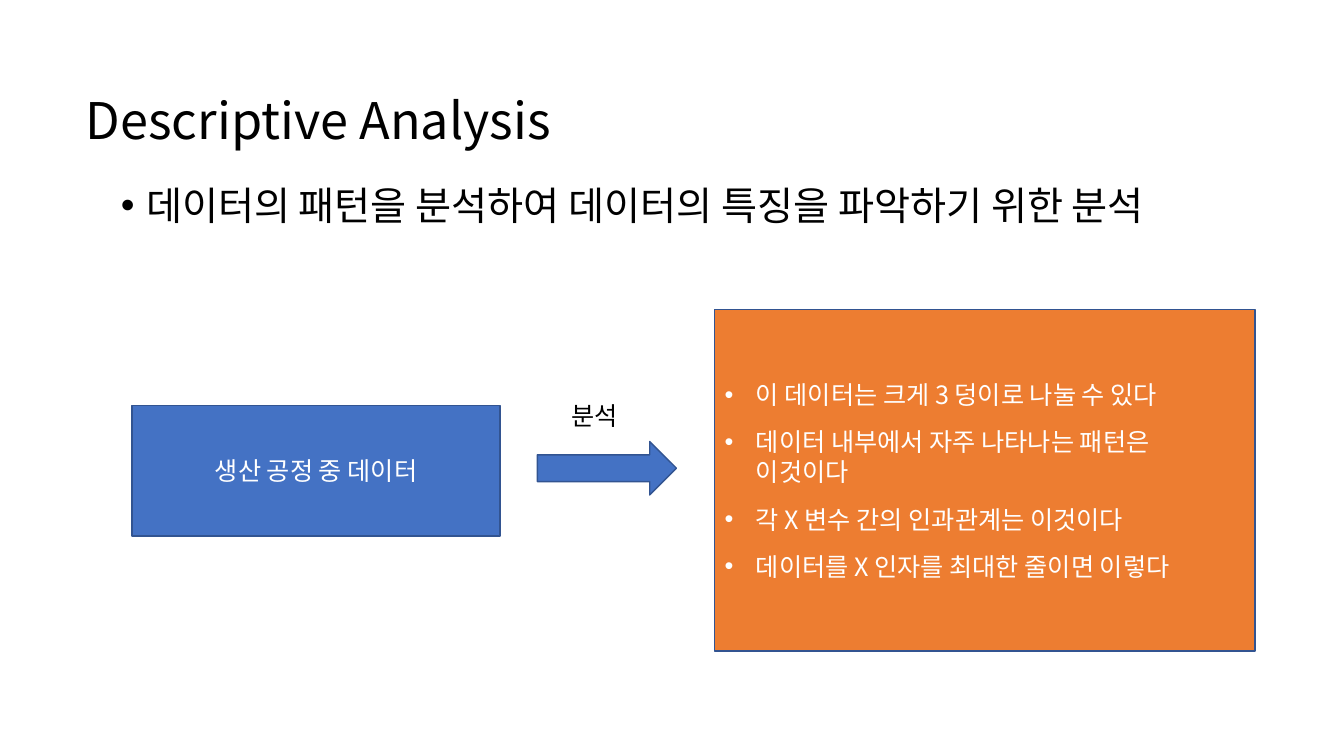
"""Build the Descriptive Analysis slide: a data box, an analysis arrow and the findings."""
from dataclasses import dataclass
from typing import Optional

from lxml.etree import SubElement
from pptx import Presentation
from pptx.dml.color import RGBColor
from pptx.enum.shapes import MSO_SHAPE as Shape
from pptx.enum.text import MSO_ANCHOR as Anchor, MSO_AUTO_SIZE as AutoSize, PP_ALIGN as Align
from pptx.oxml.ns import qn
from pptx.util import Inches, Pt

FONT = "Noto Sans CJK KR"
BLACK, WHITE, BLUE, ORANGE, OUTLINE = "000000", "FFFFFF", "4472C4", "ED7D31", "325491"
SLIDE_WIDTH, SLIDE_HEIGHT = Inches(13.333), Inches(7.5)


@dataclass(frozen=True)
class Area:
    """Position and size in percent of the slide."""
    left: float
    top: float
    width: float
    height: float

    def emu(self) -> tuple[int, int, int, int]:
        """Return left, top, width and height in EMU."""
        return (int(SLIDE_WIDTH * self.left / 100), int(SLIDE_HEIGHT * self.top / 100),
                int(SLIDE_WIDTH * self.width / 100), int(SLIDE_HEIGHT * self.height / 100))


@dataclass(frozen=True)
class Copy:
    """Paragraphs and the way they are set."""
    paragraphs: tuple[str, ...]
    size: int = 18
    color: str = BLACK
    align: Align = Align.LEFT
    anchor: Anchor = Anchor.TOP
    indent: float = 0
    gap: int = 0
    line_spacing: float = 1.0
    auto_size: AutoSize = AutoSize.NONE


@dataclass(frozen=True)
class Block:
    """A filled shape with optional text."""
    preset: Shape
    area: Area
    fill: str
    copy: Optional[Copy] = None


TITLE_AREA = Area(5.63, 11.07, 55.73, 9.47)
TITLE = Copy(("Descriptive Analysis",), size=36, auto_size=AutoSize.SHAPE_TO_FIT_TEXT)
PURPOSE_AREA = Area(8.25, 24, 86.93, 72)
PURPOSE = Copy(("데이터의 패턴을 분석하여 데이터의 특징을 파악하기 위한 분석",),
               size=28, indent=0.25, line_spacing=0.9)
STEP_AREA = Area(41.78, 52.27, 6.83, 5.33)
STEP = Copy(("분석",), auto_size=AutoSize.SHAPE_TO_FIT_TEXT)
FINDINGS = (
    "이 데이터는 크게 3 덩이로 나눌 수 있다",
    "데이터 내부에서 자주 나타나는 패턴은 \v이것이다",
    "각 X 변수 간의 인과관계는 이것이다",
    "데이터를 X 인자를 최대한 줄이면 이렇다",
)
BLOCKS = (
    Block(Shape.RECTANGLE, Area(9.83, 53.6, 27.38, 17.33), BLUE,
          Copy(("생산 공정 중 데이터",), color=WHITE, align=Align.CENTER, anchor=Anchor.MIDDLE)),
    Block(Shape.RECTANGLE, Area(53.18, 40.93, 40.2, 45.2), ORANGE,
          Copy(FINDINGS, color=WHITE, anchor=Anchor.MIDDLE, indent=0.31, gap=12)),
    Block(Shape.RIGHT_ARROW, Area(39.98, 58.4, 10.35, 7.07), BLUE),
)


def rgb(color: str) -> RGBColor:
    """Turn a hex string into a colour."""
    return RGBColor.from_string(color)


def add_bullet(paragraph, indent: float) -> None:
    """Give a paragraph a round bullet with a hanging indent in inches."""
    properties = paragraph._p.get_or_add_pPr()
    properties.set("marL", str(Inches(indent)))
    properties.set("indent", str(-Inches(indent)))
    SubElement(properties, qn("a:buFont"), typeface="Arial")
    SubElement(properties, qn("a:buChar"), char="•")


def write(frame, copy: Copy) -> None:
    """Fill a text frame with formatted paragraphs."""
    frame.word_wrap = True
    frame.auto_size = copy.auto_size
    frame.vertical_anchor = copy.anchor
    for index, text in enumerate(copy.paragraphs):
        paragraph = frame.add_paragraph() if index else frame.paragraphs[0]
        paragraph.text = text
        if copy.indent:
            add_bullet(paragraph, copy.indent)
        paragraph.alignment = copy.align
        paragraph.line_spacing = copy.line_spacing
        paragraph.space_before = Pt(copy.gap if index else 0)
        font = paragraph.font
        font.size, font.name = Pt(copy.size), FONT
        font.color.rgb = rgb(copy.color)
        SubElement(font._rPr, qn("a:ea"), typeface=FONT)


def fill_placeholder(placeholder, area: Area, copy: Copy) -> None:
    """Move a placeholder to its area and write its text."""
    placeholder.left, placeholder.top, placeholder.width, placeholder.height = area.emu()
    write(placeholder.text_frame, copy)


def draw_block(slide, block: Block) -> None:
    """Draw one filled and outlined shape."""
    shape = slide.shapes.add_shape(block.preset, *block.area.emu())
    shape.shadow.inherit = False
    shape.fill.solid()
    shape.fill.fore_color.rgb = rgb(block.fill)
    shape.line.color.rgb = rgb(OUTLINE)
    shape.line.width = Pt(1)
    if block.copy:
        write(shape.text_frame, block.copy)


def main() -> None:
    """Compose and save the slide."""
    deck = Presentation()
    deck.slide_width, deck.slide_height = SLIDE_WIDTH, SLIDE_HEIGHT
    slide = deck.slides.add_slide(deck.slide_layouts[1])
    fill_placeholder(slide.shapes.title, TITLE_AREA, TITLE)
    fill_placeholder(slide.placeholders[1], PURPOSE_AREA, PURPOSE)
    for block in BLOCKS:
        draw_block(slide, block)
    write(slide.shapes.add_textbox(*STEP_AREA.emu()).text_frame, STEP)
    deck.save("out.pptx")


if __name__ == "__main__":
    main()
